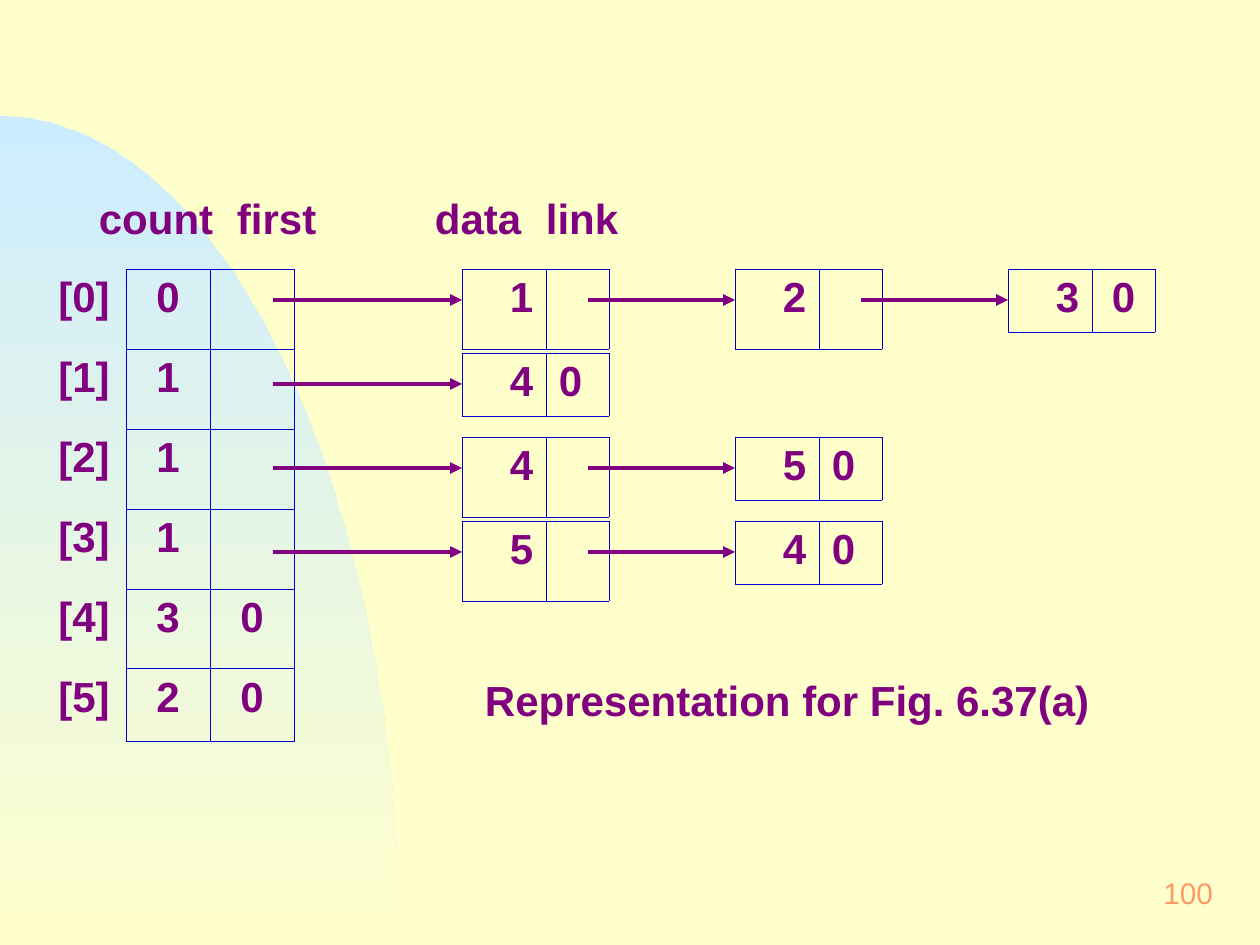
"""Build a slide of adjacency lists drawn as linked nodes."""
from dataclasses import dataclass
from math import cos, pi, sin

from lxml.etree import SubElement as Sub
from pptx import Presentation
from pptx.dml.color import RGBColor as Rgb
from pptx.enum.shapes import MSO_CONNECTOR as Link
from pptx.enum.text import MSO_ANCHOR as Anchor, PP_ALIGN as Align
from pptx.oxml.ns import qn
from pptx.util import Emu, Pt


@dataclass
class Theme:
    back: str = "FFFFCC"
    sky: str = "CCECFF"
    ink: str = "800080"
    rule: str = "0000CC"
    page: str = "FF9966"
    font: str = "Arial"
    text: int = 24
    small: int = 17


look = Theme()
UNIT = 914400 / 126


def px(*vals):
    return [Emu(round(val * UNIT)) for val in vals]


def write(frame, text, align=Align.LEFT, size=look.text, tint=look.ink, bold=True, tab=0):
    para = frame.paragraphs[0]
    para.text = text
    para.alignment = align
    if tab:
        stops = Sub(para._p.get_or_add_pPr(), qn("a:tabLst"))
        Sub(stops, qn("a:tab"), pos=str(px(tab)[0]), algn="l")
    font = para.runs[0].font
    style = {"name": look.font, "size": Pt(size), "bold": bold}
    for key, val in style.items():
        setattr(font, key, val)
    font.color.rgb = Rgb.from_string(tint)


deck = Presentation()
deck.slide_width, deck.slide_height = px(1260, 945)
slide = deck.slides.add_slide(deck.slide_layouts[6])
slide.background.fill.solid()
slide.background.fill.fore_color.rgb = Rgb.from_string(look.back)
shapes = slide.shapes

# Quarter ellipse
STEPS = 90
arc = [(399 * sin(pi / 2 * i / STEPS), 945 - 829 * cos(pi / 2 * i / STEPS))
       for i in range(STEPS + 1)]
path = shapes.build_freeform(0, 945, scale=UNIT)
path.add_line_segments(arc, close=True)
curve = path.convert_to_shape()
curve.shadow.inherit = False
curve.line.fill.background()
curve.fill.gradient()
curve.fill.gradient_angle = 270
for stop, tint in zip(curve.fill.gradient_stops, (look.sky, look.back)):
    stop.color.rgb = Rgb.from_string(tint)

labels = [
    ((84, 185, 262, 66), "count\tfirst", 15, {"tab": 138}),
    ((420, 185, 242, 66), "data\tlink", 15, {"tab": 111}),
    ((472, 668, 683, 63), "Representation for Fig. 6.37(a)", 13, {}),
    ((966, 861, 262, 63), "100", 15,
     {"align": Align.RIGHT, "size": look.small, "tint": look.page, "bold": False}),
]
for place, text, inset, style in labels:
    frame = shapes.add_textbox(*px(*place)).text_frame
    side, edge = px(inset, inset // 2)
    form = {"word_wrap": True, "vertical_anchor": Anchor.MIDDLE,
            "margin_left": side, "margin_right": side,
            "margin_top": edge, "margin_bottom": edge}
    for key, val in form.items():
        setattr(frame, key, val)
    write(frame, text, **style)

TOP, LEFT = 269, 462
STEP, PITCH = 84, 273
heads = [("0", ""), ("1", ""), ("1", ""), ("1", ""), ("3", "0"), ("2", "0")]
chains = ["123", "4", "45", "54"]

rows = [(f"[{i}]", *pair) for i, pair in enumerate(heads)]
grids = [(42, TOP, [84] * 3, [80] * 5 + [73], rows)]
arrows = []
for i, chain in enumerate(chains):
    y = TOP + i * STEP
    for j, digit in enumerate(chain):
        x = LEFT + j * PITCH
        last = j == len(chain) - 1
        grids.append((x, y, [84, 63], [63 if last else 80], [(digit, "0" if last else "")]))
        arrows.append((x - PITCH + 126 if j else 273, y + 31, x, y + 31))

for x, y, wide, high, rows in grids:
    table = shapes.add_table(len(high), len(wide), *px(x, y, sum(wide), sum(high))).table
    main = len(wide) == 3
    for key in ("first_row", "horz_banding"):
        setattr(table, key, False)
    for col, val in zip(table.columns, px(*wide)):
        col.width = val
    for row, val in zip(table.rows, px(*high)):
        row.height = val
    for r, row in enumerate(rows):
        for c, text in enumerate(row):
            cell = table.cell(r, c)
            node = not main and c == 0
            inset = px(48 if node else 13, 0 if node else 13, 6, 6)
            for key, val in zip(("left", "right", "top", "bottom"), inset):
                setattr(cell, f"margin_{key}", val)
            props = cell._tc.get_or_add_tcPr()
            for side in "LRTB":
                line = Sub(props, qn(f"a:ln{side}"), w=str(Pt(0.45)))
                if main and c == 0 and side != "R":
                    Sub(line, qn("a:noFill"))
                else:
                    Sub(Sub(line, qn("a:solidFill")), qn("a:srgbClr"), val=look.rule)
            cell.fill.background()
            if text:
                mid = main or (c == 1 and x == LEFT + 2 * PITCH)
                write(cell.text_frame, text, Align.CENTER if mid else Align.LEFT)

for ends in arrows:
    arrow = shapes.add_connector(Link.STRAIGHT, *px(*ends))
    arrow.line.width = Pt(2.25)
    arrow.line.color.rgb = Rgb.from_string(look.ink)
    Sub(arrow.line._get_or_add_ln(), qn("a:tailEnd"), type="triangle")
    Sub(arrow._element.spPr, qn("a:effectLst"))

deck.save("out.pptx")
